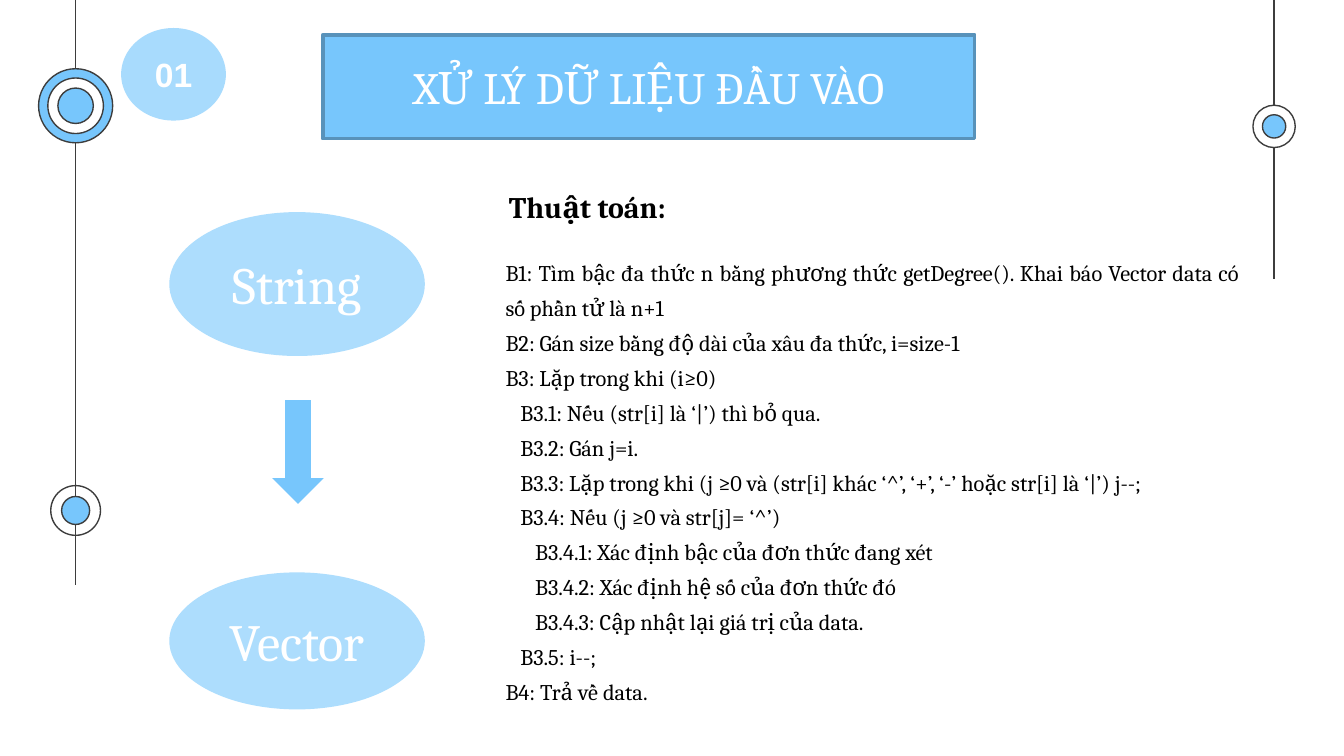
from lxml import etree
from pptx import Presentation
from pptx.dml.color import RGBColor
from pptx.enum.shapes import MSO_CONNECTOR, MSO_SHAPE
from pptx.enum.text import MSO_ANCHOR, MSO_AUTO_SIZE, PP_ALIGN
from pptx.oxml.ns import qn
from pptx.util import Cm, Pt

OVAL, RIGHT_ARROW = MSO_SHAPE.OVAL, MSO_SHAPE.RIGHT_ARROW
STRAIGHT = MSO_CONNECTOR.STRAIGHT
MIDDLE, TOP = MSO_ANCHOR.MIDDLE, MSO_ANCHOR.TOP
CENTER, JUSTIFY, LEFT = PP_ALIGN.CENTER, PP_ALIGN.JUSTIFY, PP_ALIGN.LEFT
NO_AUTOFIT = MSO_AUTO_SIZE.NONE

WHITE = RGBColor(0xFF, 0xFF, 0xFF)
BLACK = RGBColor(0, 0, 0)
INK = RGBColor(0x3D, 0x3D, 0x3D)
BLUE = RGBColor(0x77, 0xC6, 0xFC)
BORDER_BLUE = RGBColor(0x58, 0x92, 0xBA)
PALE_BLUE = RGBColor(0xAD, 0xDD, 0xFD)
BADGE_BLUE = RGBColor(0xA8, 0xDB, 0xFD)

TITLE = "XỬ LÝ DỮ LIỆU ĐẦU VÀO"
HEADING = "Thuật toán:"
# Indent step, text
ALGORITHM = [
    (0, "B1: Tìm bậc đa thức n bằng phương thức getDegree(). "
        "Khai báo Vector data có số phần tử là n+1"),
    (0, "B2: Gán size bằng độ dài của xâu đa thức, i=size-1"),
    (0, "B3: Lặp trong khi (i≥0)"),
    (1, "B3.1: Nếu (str[i] là ‘|’) thì bỏ qua."),
    (1, "B3.2: Gán j=i."),
    (1, "B3.3: Lặp trong khi (j ≥0 và (str[i] khác ‘^’, ‘+’, ‘-’ "
        "hoặc str[i] là ‘|’) j--;"),
    (1, "B3.4: Nếu (j ≥0 và str[j]= ‘^’)"),
    (2, "B3.4.1: Xác định bậc của đơn thức đang xét"),
    (2, "B3.4.2: Xác định hệ số của đơn thức đó"),
    (2, "B3.4.3: Cập nhật lại giá trị của data."),
    (1, "B3.5: i--;"),
    (0, "B4: Trả về data."),
]
BASE_INDENT, INDENT_STEP = 1.27, 0.28

# Text, box in cm, fill, size, font, bold
ELLIPSES = [
    ("String", (3.2, 4.01, 4.83, 2.72), PALE_BLUE, 28, "Cambria", False),
    ("Vector", (3.2, 10.82, 4.83, 2.59), PALE_BLUE, 28, "Cambria", False),
    ("01", (2.29, 0.53, 1.98, 1.75), BADGE_BLUE, 18, "Arial", True),
]
LEFT_RAIL, RIGHT_RAIL = 1.43, 24.08
RAILS = [(LEFT_RAIL, 11.05), (RIGHT_RAIL, 5.28)]
# Centre x, centre y, circles as (diameter, fill)
RINGS = [
    (LEFT_RAIL, 9.65, [(0.94, None), (0.53, BLUE)]),
    (RIGHT_RAIL, 2.39, [(0.8, WHITE), (0.44, BLUE)]),
    (LEFT_RAIL, 2.0, [(1.4, BLUE), (1.05, WHITE), (0.67, BLUE)]),
]


def place(shape, box):
    """Move and size a shape to a box given in centimetres."""
    shape.left, shape.top, shape.width, shape.height = map(Cm, box)


def format_text(paragraph, size, color, font="Cambria", bold=False,
                alignment=CENTER):
    """Align a paragraph and style its runs."""
    paragraph.alignment = alignment
    for run in paragraph.runs:
        run.font.size, run.font.name, run.font.bold = Pt(size), font, bold
        run.font.color.rgb = color


def add_filled(kind, box, fill, outline=None):
    """Add a preset shape without shadow, with optional fill and outline."""
    shape = slide.shapes.add_shape(kind, *map(Cm, box))
    shape.shadow.inherit = False
    if fill is None:
        shape.fill.background()
    else:
        shape.fill.solid()
        shape.fill.fore_color.rgb = fill
    if outline is None:
        shape.line.fill.background()
    else:
        shape.line.color.rgb = outline
        shape.line.width = Pt(0.75)
    return shape


def add_rail(x, length):
    """Add a vertical line down from the top edge."""
    rail = slide.shapes.add_connector(STRAIGHT, Cm(x), 0, Cm(x), Cm(length))
    rail.line.color.rgb = INK
    rail.line.width = Pt(0.75)
    etree.SubElement(rail._element.spPr, qn("a:effectLst"))


def fill_title(title):
    """Turn the title placeholder into the blue banner."""
    place(title, (6.1, 0.66, 12.32, 1.96))
    title.fill.solid()
    title.fill.fore_color.rgb = BLUE
    title.line.color.rgb = BORDER_BLUE
    title.line.width = Pt(2)
    frame = title.text_frame
    frame.text = TITLE
    frame.auto_size = NO_AUTOFIT
    frame.vertical_anchor = MIDDLE
    format_text(frame.paragraphs[0], 24, WHITE)


def fill_algorithm(body):
    """Write the algorithm steps, indented by depth, without bullets."""
    place(body, (8.03, 4.62, 15.65, 8.92))
    frame = body.text_frame
    frame.text = "\n".join(text for _, text in ALGORITHM)
    frame.auto_size = NO_AUTOFIT
    frame.vertical_anchor = TOP
    for paragraph, (depth, _) in zip(frame.paragraphs, ALGORITHM):
        format_text(paragraph, 12, BLACK, alignment=JUSTIFY)
        paragraph.line_spacing = 1.3
        paragraph.space_before = paragraph.space_after = Pt(0)
        properties = paragraph._p.get_or_add_pPr()
        properties.set("marL", str(Cm(BASE_INDENT + depth * INDENT_STEP)))
        properties.set("indent", "0")
        etree.SubElement(properties, qn("a:buNone"))


presentation = Presentation()
presentation.slide_width, presentation.slide_height = Cm(25.4), Cm(14.29)
slide = presentation.slides.add_slide(presentation.slide_layouts[1])

for x, length in RAILS:
    add_rail(x, length)
for x, y, circles in RINGS:
    for diameter, fill in circles:
        corner = (x - diameter / 2, y - diameter / 2)
        add_filled(OVAL, (*corner, diameter, diameter), fill, INK)

fill_title(slide.shapes.title)
fill_algorithm(slide.placeholders[1])

for text, box, fill, size, font, bold in ELLIPSES:
    ellipse = add_filled(OVAL, box, fill)
    ellipse.text_frame.text = text
    ellipse.text_frame.vertical_anchor = MIDDLE
    format_text(ellipse.text_frame.paragraphs[0], size, WHITE, font, bold)

arrow = add_filled(RIGHT_ARROW, (4.65, 8.06, 1.96, 0.97), BLUE)
arrow.rotation = 90

heading = slide.shapes.add_textbox(*map(Cm, (9.37, 3.45, 3.53, 0.94)))
heading.text_frame.text = HEADING
heading.text_frame.word_wrap = False
format_text(heading.text_frame.paragraphs[0], 16, BLACK, bold=True,
            alignment=LEFT)

presentation.save("out.pptx")
